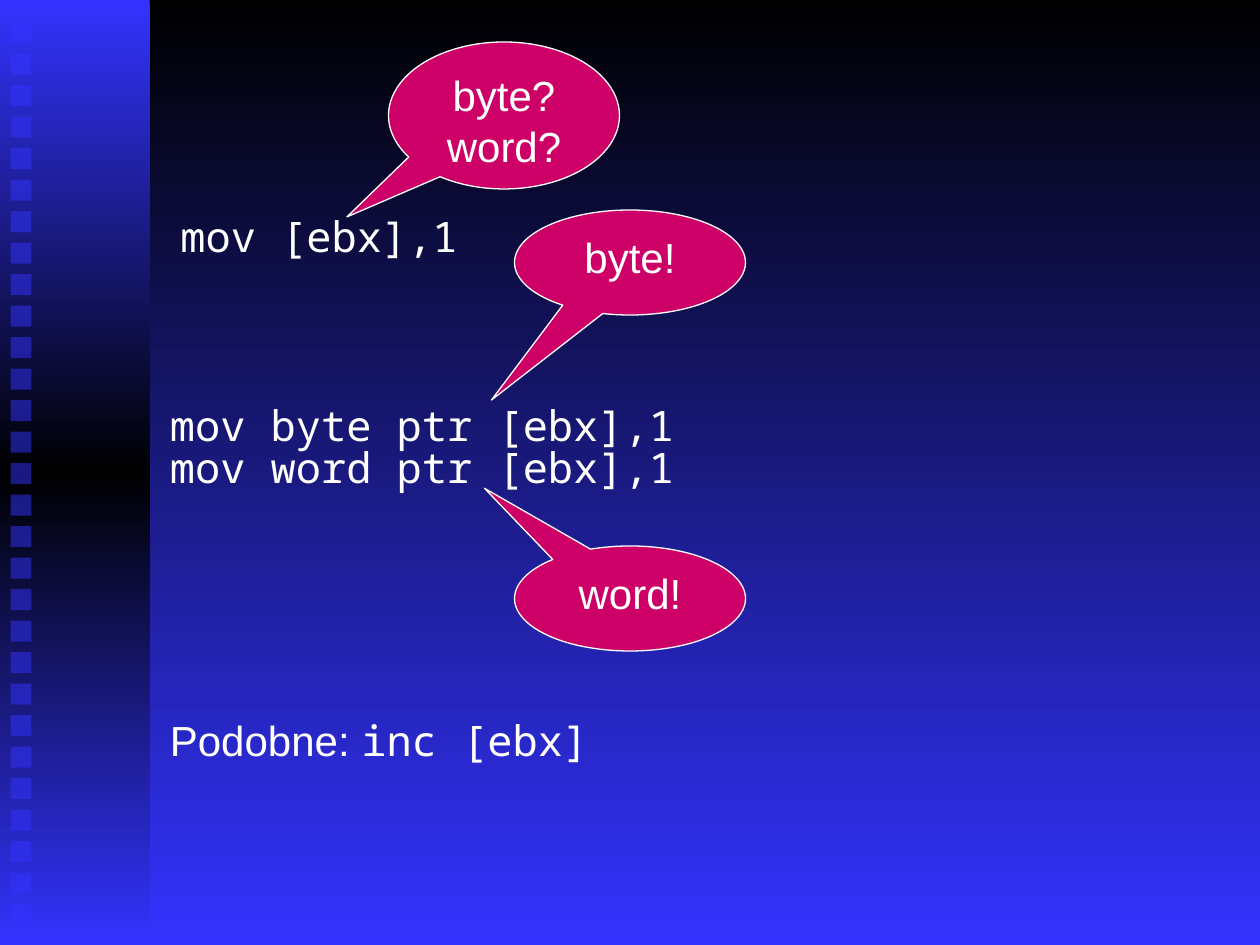
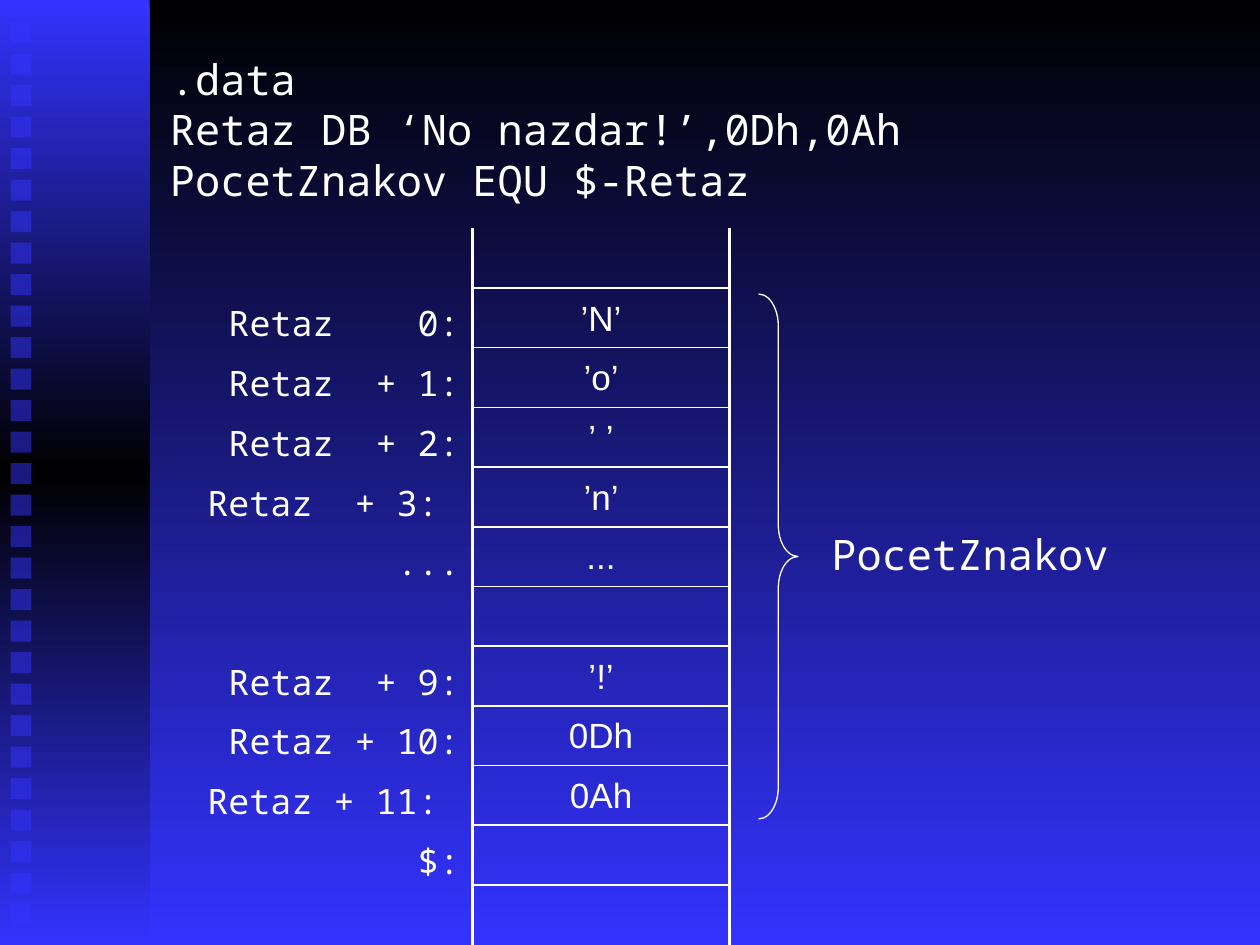
from copy import deepcopy
from dataclasses import dataclass
from typing import NamedTuple

from lxml.etree import SubElement
from pptx import Presentation
from pptx.dml.color import RGBColor
from pptx.dml.fill import FillFormat
from pptx.enum.shapes import MSO_SHAPE
from pptx.enum.text import MSO_ANCHOR, PP_ALIGN
from pptx.oxml.ns import qn
from pptx.presentation import Presentation as Deck
from pptx.shapes.autoshape import Shape
from pptx.slide import Slide
from pptx.table import _Cell
from pptx.text.text import TextFrame, _Paragraph
from pptx.util import Inches, Pt

COLORS = {
    "black": "000000",
    "blue": "3333FF",
    "pink": "CC0066",
    "cream": "FFF9C9",
    "white": "FFFFFF",
}
SANS = "Arial"
MONO = "Noto Sans Mono"
CELLS_PER_INCH = 12
SLIDE_COLUMNS, SLIDE_ROWS = 120, 90
INSETS = {
    "margin_left": Inches(0.1),
    "margin_right": Inches(0.1),
    "margin_top": Inches(0.09),
    "margin_bottom": Inches(0.05),
}
NO_TABLE_STYLE = "{2D5ABB26-0587-4C30-8999-92F81FD0307C}"


class Area(NamedTuple):
    column: float
    row: float
    columns: float
    rows: float


class Piece(NamedTuple):
    text: str
    font: str = MONO
    color: str = "white"


Line = tuple[Piece, ...]


@dataclass
class Callout:
    area: Area
    words: tuple[str, ...]
    tip: tuple[float, float]


@dataclass
class TextBlock:
    area: Area
    lines: tuple[Line, ...]


@dataclass
class MemoryRow:
    label: str = ""
    content: Line = ()
    ruled: bool = True


def grid(cells: float) -> int:
    return Inches(cells / CELLS_PER_INCH)


def place(area: Area) -> tuple[int, ...]:
    return tuple(grid(cells) for cells in area)


def color(name: str) -> RGBColor:
    return RGBColor.from_string(COLORS[name])


def apply(target: object, formats: dict) -> None:
    for name, value in formats.items():
        setattr(target, name, value)


def fill_gradient(fill: FillFormat, names: tuple[str, ...]) -> None:
    fill.gradient()
    fill.gradient_angle = 270
    first = fill.gradient_stops[0]._gs
    for _ in names[2:]:
        first.addnext(deepcopy(first))
    for index, (stop, name) in enumerate(zip(fill.gradient_stops, names)):
        stop.color.rgb = color(name)
        stop.position = index / (len(names) - 1)


def write_line(paragraph: _Paragraph, line: Line, size: int, align: PP_ALIGN) -> None:
    paragraph.alignment = align
    for piece in line:
        run = paragraph.add_run()
        run.text = piece.text
        apply(run.font, {"name": piece.font, "size": Pt(size)})
        run.font.color.rgb = color(piece.color)


def write_lines(frame: TextFrame, lines: tuple[Line, ...], align: PP_ALIGN) -> None:
    apply(frame, {"word_wrap": True, "vertical_anchor": MSO_ANCHOR.TOP})
    for index, line in enumerate(lines):
        paragraph = frame.add_paragraph() if index else frame.paragraphs[0]
        write_line(paragraph, line, 24, align)


def outline(shape: Shape) -> None:
    shape.shadow.inherit = False
    shape.line.color.rgb = color("white")
    shape.line.width = Pt(0.75)


def add_text(slide: Slide, block: TextBlock) -> None:
    box = slide.shapes.add_textbox(*place(block.area))
    apply(box.text_frame, INSETS)
    write_lines(box.text_frame, block.lines, PP_ALIGN.LEFT)


def add_callout(slide: Slide, callout: Callout) -> None:
    shape = slide.shapes.add_shape(MSO_SHAPE.OVAL_CALLOUT, *place(callout.area))
    for index, value in enumerate(callout.tip):
        shape.adjustments[index] = value
    outline(shape)
    shape.fill.solid()
    shape.fill.fore_color.rgb = color("pink")
    lines = tuple((Piece(word, SANS),) for word in callout.words)
    write_lines(shape.text_frame, lines, PP_ALIGN.CENTER)


def add_brace(slide: Slide, area: Area) -> None:
    brace = slide.shapes.add_shape(MSO_SHAPE.RIGHT_BRACE, *place(area))
    brace.adjustments[0] = 0.81
    brace.fill.background()
    outline(brace)


def draw_master(presentation: Deck, slide: Slide) -> None:
    master = presentation.slide_master
    fill_gradient(master.background.fill, ("black", "blue"))
    group = slide.shapes.add_group_shape()
    areas = [Area(0, 0, 14.25, SLIDE_ROWS)]
    areas += [Area(1, 2.1 + 3 * index, 2, 2) for index in range(29)]
    for index, area in enumerate(areas):
        shape = group.shapes.add_shape(MSO_SHAPE.RECTANGLE, *place(area))
        shape.shadow.inherit = False
        shape.line.fill.background()
        if index == 0:
            fill_gradient(shape.fill, ("blue", "black", "blue"))
            continue
        shape.fill.solid()
        shape.fill.fore_color.rgb = color("blue")
        tone = shape._element.spPr.find(f"{qn('a:solidFill')}/{qn('a:srgbClr')}")
        SubElement(tone, qn("a:alpha"), val="50000")
    for number, properties in enumerate(group._element.iter(qn("p:cNvPr")), 100):
        properties.set("id", str(number))
    master.shapes._spTree.insert(2, group._element)


def set_borders(cell: _Cell, widths: dict[str, float]) -> None:
    properties = cell._tc.get_or_add_tcPr()
    for index, (side, width) in enumerate(widths.items()):
        border = SubElement(properties, qn(f"a:ln{side}"), w=str(Pt(width)))
        fill = SubElement(border, qn("a:solidFill"))
        SubElement(fill, qn("a:srgbClr"), val=COLORS["white"])
        properties.insert(index, border)


def add_memory_table(slide: Slide, rows: list[MemoryRow]) -> None:
    widths = (28.5, 24.5)
    area = Area(16.5, 21.75, sum(widths), SLIDE_ROWS - 21.75)
    table = slide.shapes.add_table(len(rows), len(widths), *place(area)).table
    apply(table, {"first_row": False, "horz_banding": False})
    table._tbl.tblPr.find(qn("a:tableStyleId")).text = NO_TABLE_STYLE
    for column, width in zip(table.columns, widths):
        column.width = grid(width)
    for index, row in enumerate(rows):
        table.rows[index].height = grid(area.rows / len(rows))
        label = (Piece(row.label),) if row.label else ()
        sides = ((label, PP_ALIGN.RIGHT), (row.content, PP_ALIGN.CENTER))
        for number, (line, align) in enumerate(sides):
            cell = table.cell(index, number)
            cell.fill.background()
            apply(cell, INSETS)
            write_line(cell.text_frame.paragraphs[0], line, 20, align)
        borders = {"L": 2.25, "R": 2.25}
        if index and rows[index - 1].ruled:
            borders["T"] = 1
        if row.ruled:
            borders["B"] = 1
        set_borders(table.cell(index, 1), borders)
        set_borders(table.cell(index, 0), {"R": 2.25})


def code(*texts: str) -> tuple[Line, ...]:
    return tuple((Piece(text),) for text in texts)


def quoted(character: str) -> Line:
    return Piece("’", SANS, "cream"), Piece(f"{character}’", SANS)


def plain(text: str) -> Line:
    return (Piece(text, SANS),)


def build_operand_size(slide: Slide) -> None:
    blocks = (
        TextBlock(Area(16, 19, 30, 6), code("mov [ebx],1")),
        TextBlock(Area(15, 37, 71, 5), code("mov byte ptr [ebx],1")),
        TextBlock(Area(15, 41, 71, 5), code("mov word ptr [ebx],1")),
        TextBlock(
            Area(15, 67, 58, 6), ((Piece("Podobne: ", SANS), Piece("inc [ebx]")),)
        ),
    )
    callouts = (
        Callout(Area(37, 4, 22, 14), ("byte?", "word?"), (-0.68, 0.69)),
        Callout(Area(49, 52, 22, 10), ("word!",), (-0.63, -1.05)),
        Callout(Area(49, 20, 22, 10), ("byte!",), (-0.6, 1.31)),
    )
    for block in blocks:
        add_text(slide, block)
    for callout in callouts:
        add_callout(slide, callout)


def build_string_layout(slide: Slide) -> None:
    source = code(".data", "Retaz DB ‘No nazdar!’,0Dh,0Ah", "PocetZnakov EQU $-Retaz")
    add_text(slide, TextBlock(Area(15, 4, 94, 25), source))
    rows = [
        MemoryRow(),
        MemoryRow("Retaz    0:", quoted("N")),
        MemoryRow("Retaz  + 1:", quoted("o")),
        MemoryRow("Retaz  + 2:", quoted(" ")),
        MemoryRow("Retaz  + 3: ", quoted("n")),
        MemoryRow("...", plain("..."), ruled=False),
        MemoryRow(),
        MemoryRow("Retaz  + 9:", quoted("!")),
        MemoryRow("Retaz + 10:", plain("0Dh")),
        MemoryRow("Retaz + 11: ", plain("0Ah")),
        MemoryRow("$:"),
        MemoryRow(ruled=False),
    ]
    add_memory_table(slide, rows)
    add_brace(slide, Area(72.25, 28, 3.75, 50))
    add_text(slide, TextBlock(Area(78, 49.25, 36, 6), code("PocetZnakov")))


def main() -> None:
    presentation = Presentation()
    presentation.slide_width = grid(SLIDE_COLUMNS)
    presentation.slide_height = grid(SLIDE_ROWS)
    blank = presentation.slide_layouts[6]
    slides = [presentation.slides.add_slide(blank) for _ in range(2)]
    draw_master(presentation, slides[0])
    for build, slide in zip((build_operand_size, build_string_layout), slides):
        build(slide)
    presentation.save("out.pptx")


main()
